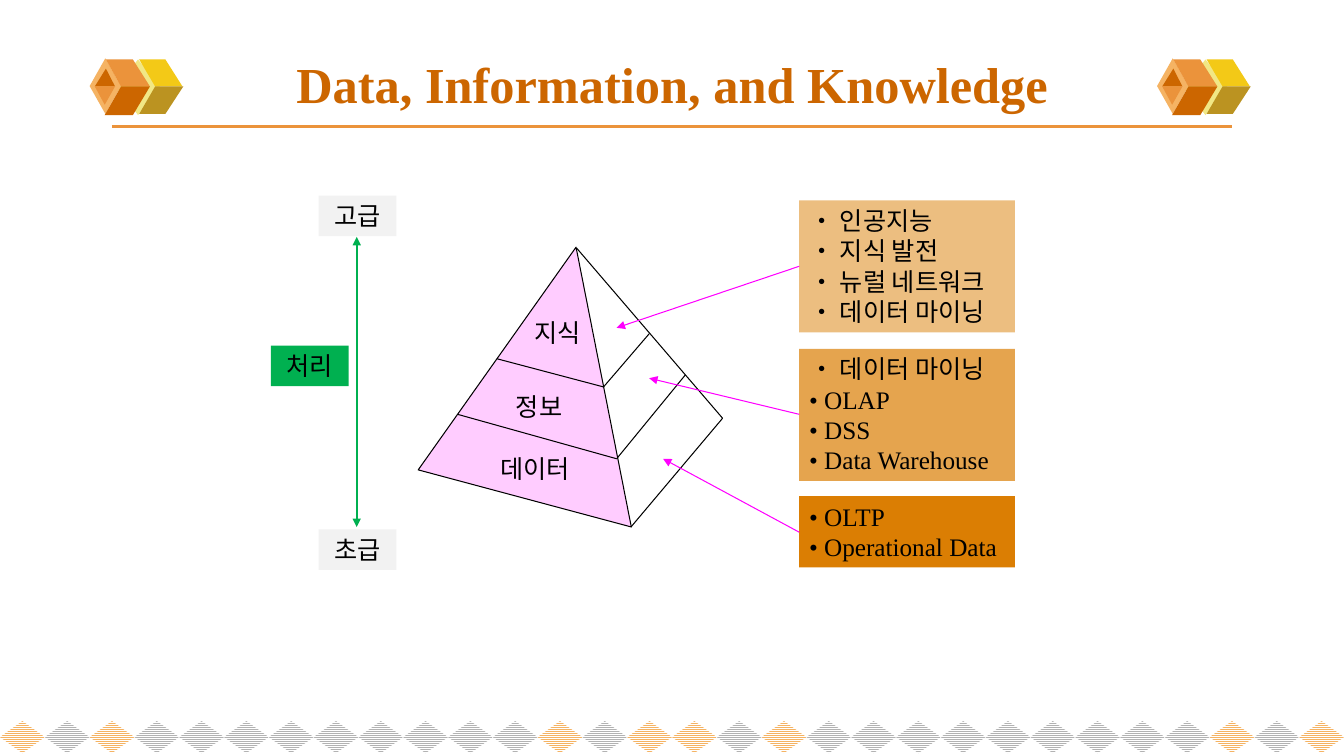
from dataclasses import dataclass

from lxml.etree import SubElement
from pptx import Presentation
from pptx.dml.color import RGBColor
from pptx.enum.dml import MSO_PATTERN
from pptx.enum.shapes import MSO_CONNECTOR, MSO_SHAPE
from pptx.enum.text import MSO_ANCHOR, PP_ALIGN
from pptx.oxml.ns import qn
from pptx.shapes.autoshape import Shape
from pptx.slide import Slide
from pptx.util import Cm, Pt

FONT = "Times New Roman"
BLACK, ORANGE, BROWN = "000000", "EB933B", "CC6600"
GREEN, MAGENTA, AMBER = "00B050", "FF00FF", "DB7E03"

Point = tuple[float, float]


@dataclass
class Box:
    """A rectangle of text, measured in centimetres."""
    left: float
    top: float
    width: float
    height: float
    text: str
    fill: str | None = None
    opacity: int = 100
    align: PP_ALIGN = PP_ALIGN.CENTER
    size: float = 18
    color: str = BLACK
    bold: bool = False
    anchor: MSO_ANCHOR = MSO_ANCHOR.TOP


@dataclass
class Line:
    start: Point
    end: Point
    color: str = BLACK
    width: float = 0.75
    arrows: tuple[str, ...] = ()


@dataclass
class Facet:
    """One polygon of a cube in the header."""
    color: str
    points: list[Point]


def rgb(color: str) -> RGBColor:
    return RGBColor.from_string(color)


def paint(shape: Shape, color: str) -> None:
    shape.shadow.inherit = False
    shape.fill.solid()
    shape.fill.fore_color.rgb = rgb(color)
    shape.line.fill.background()


def add_preset(slide: Slide, kind: MSO_SHAPE, left: float, top: float,
               width: float, height: float, color: str) -> Shape:
    shape = slide.shapes.add_shape(kind, Cm(left), Cm(top), Cm(width), Cm(height))
    paint(shape, color)
    return shape


def add_facet(slide: Slide, facet: Facet, shift: float) -> None:
    points = [(Cm(x + shift), Cm(y)) for x, y in facet.points]
    builder = slide.shapes.build_freeform(*points[0])
    builder.add_line_segments(points[1:], close=True)
    paint(builder.convert_to_shape(), facet.color)


def add_line(slide: Slide, line: Line) -> None:
    ends = [Cm(value) for value in (*line.start, *line.end)]
    connector = slide.shapes.add_connector(MSO_CONNECTOR.STRAIGHT, *ends)
    connector.line.color.rgb = rgb(line.color)
    connector.line.width = Pt(line.width)
    for arrow in line.arrows:
        SubElement(connector.line._get_or_add_ln(), qn(f"a:{arrow}"), type="triangle")
    SubElement(connector._element.spPr, qn("a:effectLst"))


def add_box(slide: Slide, box: Box) -> None:
    if box.fill:
        shape = add_preset(slide, MSO_SHAPE.RECTANGLE, box.left, box.top,
                           box.width, box.height, box.fill)
        if box.opacity < 100:
            color = shape._element.spPr.find(f".//{qn('a:srgbClr')}")
            SubElement(color, qn("a:alpha"), val=str(box.opacity * 1000))
    else:
        shape = slide.shapes.add_textbox(Cm(box.left), Cm(box.top),
                                         Cm(box.width), Cm(box.height))
    text_frame = shape.text_frame
    text_frame.word_wrap = True
    text_frame.vertical_anchor = box.anchor
    text_frame.text = box.text
    for paragraph in text_frame.paragraphs:
        paragraph.alignment = box.align
        for run in paragraph.runs:
            run.font.name = FONT
            run.font.size = Pt(box.size)
            run.font.bold = box.bold
            run.font.color.rgb = rgb(box.color)


def add_footer(slide: Slide, slide_width: float) -> None:
    """Draw a row of hatched diamonds whose colours repeat in each half."""
    half = 15
    pitch = slide_width / (2 * half)
    for column in range(2 * half):
        color = "F5B363" if column % half in (0, 2, 12, 14) else "B2B2B2"
        diamond = add_preset(slide, MSO_SHAPE.DIAMOND, column * pitch, 18.17,
                             pitch, 0.81, color)
        diamond.fill.patterned()
        diamond.fill.pattern = MSO_PATTERN.NARROW_HORIZONTAL
        diamond.fill.fore_color.rgb = rgb(color)
        diamond.fill.back_color.rgb = rgb("FFFFFF")


RIGHT_FACETS = [
    Facet("F3C917", [(3.91, 2.18), (4.6, 2.18), (4.17, 1.5), (3.51, 1.5)]),
    Facet("BB9321", [(3.91, 2.18), (4.62, 2.18), (4.17, 2.87), (3.51, 2.87)]),
]
LEFT_FACETS = [
    Facet(ORANGE, [(3.05, 2.18), (3.78, 2.18), (3.35, 1.5), (2.67, 1.5)]),
    Facet(BROWN, [(3.05, 2.18), (3.78, 2.18), (3.35, 2.9), (2.64, 2.9)]),
    Facet(BROWN, [(2.67, 1.73), (2.39, 2.18), (2.9, 2.18)]),
    Facet(ORANGE, [(2.64, 2.64), (2.39, 2.18), (2.9, 2.18)]),
]


def add_cubes(slide: Slide, shift: float) -> None:
    add_preset(slide, MSO_SHAPE.DIAMOND, 2.92 + shift, 1.5, 1.12, 1.4, "F1E785")
    for facet in RIGHT_FACETS:
        add_facet(slide, facet, shift)
    add_preset(slide, MSO_SHAPE.DIAMOND, 2.26 + shift, 1.47, 0.79, 1.4, "F5B363")
    for facet in LEFT_FACETS:
        add_facet(slide, facet, shift)


APEX, FRONT, BACK = (14.53, 6.25), (15.9, 13.28), (18.21, 10.54)
UPPER_EDGE, LOWER_EDGE = (15.21, 9.75), (15.54, 11.56)
PYRAMID_LINES = [
    Line(APEX, BACK),
    Line(FRONT, BACK),
    Line((11.53, 10.44), LOWER_EDGE),
    Line((12.52, 9.04), UPPER_EDGE),
    Line((17.27, 9.45), LOWER_EDGE),
    Line(UPPER_EDGE, (16.36, 8.41)),
]
PANEL_LEFT, PANEL_WIDTH = 20.14, 5.44
ARROWS = [
    Line((8.99, 5.97), (8.99, 13.28), GREEN, 1.25, ("headEnd", "tailEnd")),
    Line((PANEL_LEFT, 6.71), (15.54, 8.26), MAGENTA, arrows=("tailEnd",)),
    Line((PANEL_LEFT, 10.44), (16.36, 9.53), MAGENTA, arrows=("tailEnd",)),
    Line((PANEL_LEFT, 13.41), (16.71, 11.56), MAGENTA, arrows=("tailEnd",)),
]
BOXES = [
    Box(13.08, 7.87, 1.93, 1.02, "지식"),
    Box(12.62, 9.73, 1.93, 1.02, "정보"),
    Box(12.17, 11.3, 2.62, 1.02, "데이터"),
    Box(8.03, 4.93, 1.96, 1.02, "고급", "F2F2F2"),
    Box(8.03, 13.34, 1.96, 1.02, "초급", "F2F2F2"),
    Box(6.83, 8.71, 1.96, 1.02, "처리", GREEN),
    Box(PANEL_LEFT, 5.05, PANEL_WIDTH, 3.33,
        "• 인공지능\n• 지식 발전\n• 뉴럴 네트워크\n• 데이터 마이닝",
        AMBER, 50, PP_ALIGN.LEFT),
    Box(PANEL_LEFT, 8.79, PANEL_WIDTH, 3.33,
        "• 데이터 마이닝\n• OLAP\n• DSS\n• Data Warehouse",
        AMBER, 70, PP_ALIGN.LEFT),
    Box(PANEL_LEFT, 12.5, PANEL_WIDTH, 1.8,
        "• OLTP\n• Operational Data", AMBER, align=PP_ALIGN.LEFT),
]
TITLE = Box(1.7, 1.02, 30.48, 2.16, "Data, Information, and Knowledge",
            size=36, color=BROWN, bold=True, anchor=MSO_ANCHOR.MIDDLE)


def main() -> None:
    presentation = Presentation()
    presentation.slide_width, presentation.slide_height = Cm(33.87), Cm(19.05)
    slide = presentation.slides.add_slide(presentation.slide_layouts[6])

    add_footer(slide, 33.87)
    add_line(slide, Line((2.82, 3.18), (31.04, 3.18), ORANGE, 2.25))
    for shift in (0, 26.9):
        add_cubes(slide, shift)
    add_box(slide, TITLE)

    pyramid = add_preset(slide, MSO_SHAPE.ISOSCELES_TRIANGLE, 11.28, 6.22, 5.56, 6.45, "FFCCFF")
    pyramid.adjustments[0] = 0.43
    pyramid.rotation = 15
    pyramid.line.color.rgb = rgb(BLACK)
    pyramid.line.width = Pt(0.75)
    for line in PYRAMID_LINES:
        add_line(slide, line)
    for box in BOXES:
        add_box(slide, box)
    for arrow in ARROWS:
        add_line(slide, arrow)
    presentation.save("out.pptx")


if __name__ == "__main__":
    main()
